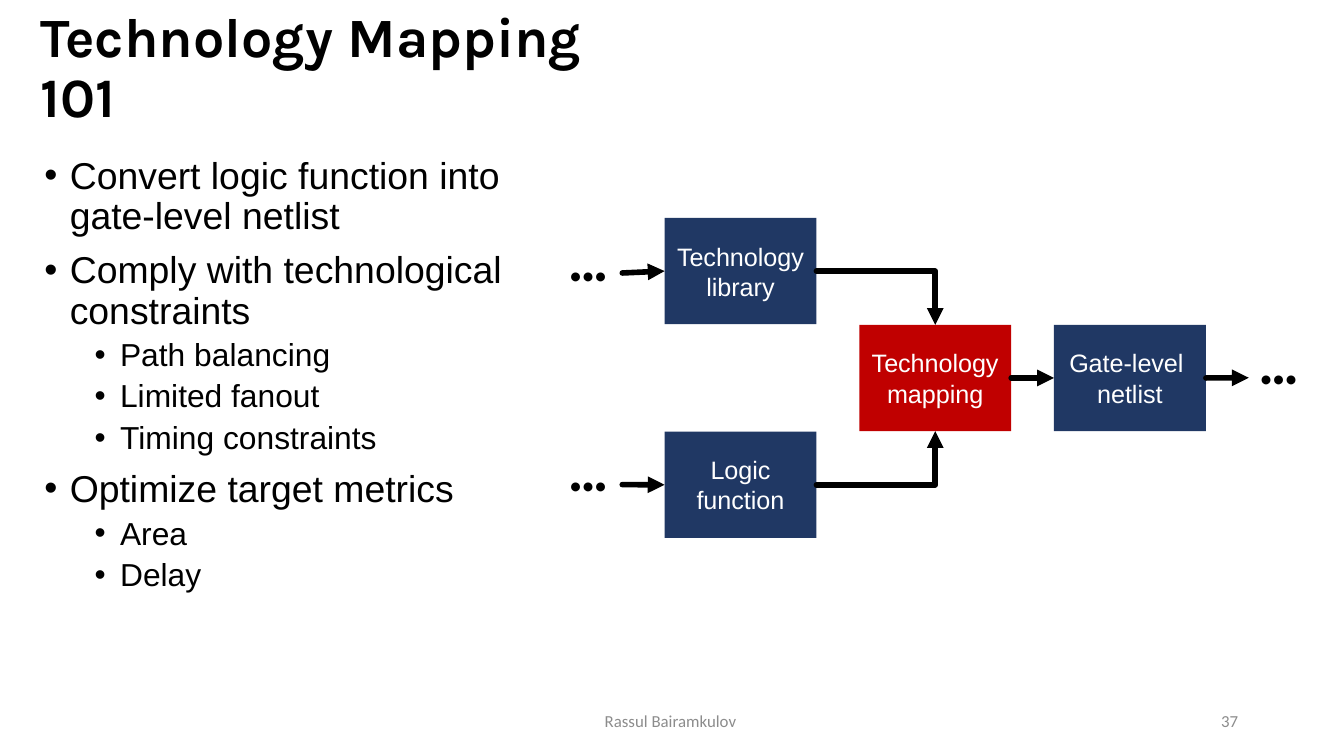
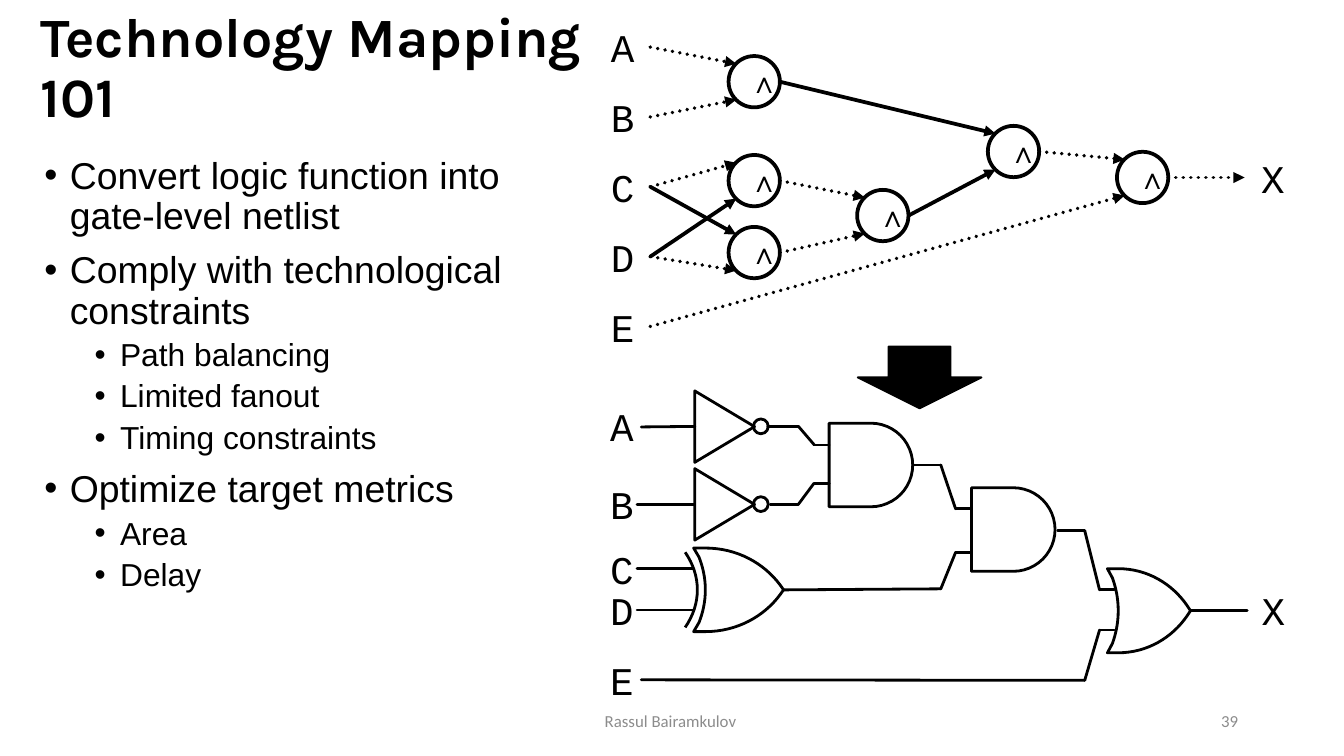
from dataclasses import dataclass

from lxml.etree import SubElement
from pptx import Presentation
from pptx.dml.color import RGBColor
from pptx.enum.dml import MSO_LINE
from pptx.enum.shapes import MSO_CONNECTOR, MSO_SHAPE
from pptx.enum.text import MSO_ANCHOR, MSO_AUTO_SIZE, PP_ALIGN
from pptx.oxml.ns import qn
from pptx.util import Cm, Pt


@dataclass(frozen=True)
class Theme:
    """Colours, fonts and type sizes of the deck."""

    black: RGBColor = RGBColor(0, 0, 0)
    white: RGBColor = RGBColor(255, 255, 255)
    navy: RGBColor = RGBColor(0x20, 0x38, 0x64)
    red: RGBColor = RGBColor(0xC0, 0, 0)
    gray: RGBColor = RGBColor(0x8C, 0x8C, 0x8C)
    head: str = "Karla"
    sans: str = "Arial"
    foot: str = "Calibri"
    mono: str = "Courier New"
    title: float = 29.7
    levels: tuple = (20, 17)
    gaps: tuple = (7.5, 3.8)
    indents: tuple = (0.48, 1.43)
    hang: float = 0.48
    box: float = 13.5
    sign: float = 21
    glyph: float = 16
    small: float = 9
    flow: float = 3
    edge: float = 2
    wire: float = 1.5


THEME = Theme()
POINTS = [
    (0, "Convert logic function into gate-level netlist"),
    (0, "Comply with technological constraints"),
    (1, "Path balancing"),
    (1, "Limited fanout"),
    (1, "Timing constraints"),
    (0, "Optimize target metrics"),
    (1, "Area"),
    (1, "Delay"),
]
NODE = 0.97


def area(*sizes):
    """Turn centimetres into lengths."""
    return [Cm(size) for size in sizes]


def add_run(para, text, size, font, color=THEME.black, bold=False):
    """Add one styled run to a paragraph."""
    run = para.add_run()
    run.text = text
    run.font.size = Pt(size)
    run.font.name = font
    run.font.color.rgb = color
    run.font.bold = bold


def write(frame, lines, size, font, color=THEME.black, align=PP_ALIGN.CENTER, bold=False):
    """Fill a frame with one paragraph per line, set in the middle."""
    frame.vertical_anchor = MSO_ANCHOR.MIDDLE
    for num, line in enumerate(lines):
        para = frame.add_paragraph() if num else frame.paragraphs[0]
        para.alignment = align
        add_run(para, line, size, font, color, bold)


def trim(frame):
    """Take away the inner margins of a frame."""
    frame.margin_left = frame.margin_right = frame.margin_top = frame.margin_bottom = 0


def add_label(slide, place, text, size, font, color=THEME.black, align=PP_ALIGN.CENTER, wrap=False):
    """Add a one-line text box."""
    frame = slide.shapes.add_textbox(*area(*place)).text_frame
    frame.word_wrap = wrap
    write(frame, [text], size, font, color, align)
    return frame


def add_list(slide):
    """Add the bullet list on the left."""
    frame = slide.shapes.add_textbox(*area(0.59, 2.84, 9.8, 10.8)).text_frame
    frame.word_wrap = True
    for num, (level, text) in enumerate(POINTS):
        para = frame.add_paragraph() if num else frame.paragraphs[0]
        para.level = level
        para.line_spacing = 0.9
        para.space_before = Pt(THEME.gaps[level] if num else 0)
        props = para._p.get_or_add_pPr()
        props.set("marL", str(Cm(THEME.indents[level])))
        props.set("indent", str(-Cm(THEME.hang)))
        SubElement(props, qn("a:buFont"), typeface=THEME.sans)
        SubElement(props, qn("a:buChar"), char="•")
        add_run(para, text, THEME.levels[level], THEME.sans)


def add_page(deck, number):
    """Add a slide with the shared title, list and footer."""
    slide = deck.slides.add_slide(deck.slide_layouts[5])
    title = slide.shapes.title
    title.left, title.top, title.width, title.height = area(0.51, 0.56, 10.74, 1.5)
    frame = title.text_frame
    frame.auto_size = MSO_AUTO_SIZE.NONE
    frame.margin_right = 0
    write(frame, ["Technology Mapping 101"], THEME.title, THEME.head, align=PP_ALIGN.LEFT, bold=True)
    frame.paragraphs[0].line_spacing = 0.9
    style = THEME.small, THEME.foot, THEME.gray
    add_label(slide, (8.41, 13.24, 8.59, 0.76), "Rassul Bairamkulov ", *style, wrap=True)
    add_label(slide, (17.93, 13.24, 5.72, 0.76), number, *style, PP_ALIGN.RIGHT, True)
    add_list(slide)
    return slide


def paint(shape, fill=None, width=None):
    """Set the fill and outline of a shape."""
    shape.shadow.inherit = False
    if fill is None:
        shape.fill.background()
    else:
        shape.fill.solid()
        shape.fill.fore_color.rgb = fill
    if width is None:
        shape.line.fill.background()
    else:
        shape.line.color.rgb = THEME.black
        shape.line.width = Pt(width)
    return shape


def add_form(slide, kind, place, fill=None, width=None):
    """Add a painted preset shape."""
    return paint(slide.shapes.add_shape(kind, *area(*place)), fill, width)


def add_line(slide, start, end, width, arrow=False, dots=False, kind=MSO_CONNECTOR.STRAIGHT):
    """Link two ends, each a point or a shape with its side."""
    (ax, ay), (bx, by) = [(0, 0) if hasattr(stop[0], "left") else stop for stop in (start, end)]
    line = slide.shapes.add_connector(kind, *area(ax, ay, bx, by))
    if hasattr(start[0], "left"):
        line.begin_connect(*start)
    if hasattr(end[0], "left"):
        line.end_connect(*end)
    line.line.color.rgb = THEME.black
    line.line.width = Pt(width)
    if dots:
        line.line.dash_style = MSO_LINE.ROUND_DOT
    props = line._element.spPr
    stroke = props.find(qn("a:ln"))
    stroke.set("cap", "rnd")
    SubElement(stroke, qn("a:round"))
    if arrow:
        SubElement(stroke, qn("a:tailEnd"), type="triangle")
    SubElement(props, qn("a:effectLst"))
    return line


def add_elbow(slide, start, end):
    """Add an arrow with a single right-angle bend."""
    line = add_line(slide, start, end, THEME.flow, True, kind=MSO_CONNECTOR.ELBOW)
    line._element.spPr.find(qn("a:prstGeom")).set("prst", "bentConnector2")


def add_box(slide, col, row, lines, fill=THEME.navy):
    """Add a step of the flow on its grid."""
    place = 12.56 + 3.68 * col, 4.12 + 2.02 * row, 2.87, 2.01
    box = add_form(slide, MSO_SHAPE.RECTANGLE, place, fill)
    trim(box.text_frame)
    write(box.text_frame, lines, THEME.box, THEME.sans, THEME.white)
    return box


def add_dots(slide, left, top):
    """Add an ellipsis for steps not shown."""
    trim(add_label(slide, (left, top, 0.71, 0.58), "•••", THEME.box, THEME.foot, align=PP_ALIGN.LEFT))


def draw_flow(slide):
    """Draw the flow from library and function to netlist."""
    lib = add_box(slide, 0, 0, ["Technology library"])
    logic = add_box(slide, 0, 2, ["Logic function"])
    core = add_box(slide, 1, 1, ["Technology mapping"], THEME.red)
    net = add_box(slide, 2, 1, ["Gate-level ", "netlist"])
    add_elbow(slide, (lib, 3), (core, 0))
    add_elbow(slide, (logic, 3), (core, 2))
    add_line(slide, (core, 3), (net, 1), THEME.flow, True)
    add_line(slide, (net, 3), (23.6, 7.14), THEME.flow, True)
    add_dots(slide, 23.81, 6.85)
    for box, mid, top in ((lib, 5.16, 4.89), (logic, 9.16, 8.86)):
        add_line(slide, (11.76, mid), (box, 1), THEME.flow, True)
        add_dots(slide, 10.76, top)


def draw_graph(slide):
    """Draw the graph of AND nodes with plain and negated edges."""
    starts = {}
    for num, name in enumerate("ABCDE"):
        top = 0.23 + 1.32 * num
        add_label(slide, (11.25, top, 1.04, 1.32), name, THEME.sign, THEME.mono)
        starts[name] = 12.29, top + 0.66
    nodes = [(13.77, 1.06), (13.77, 2.93), (13.77, 4.29), (16.2, 3.59), (18.67, 2.38), (21.11, 2.87)]
    for num, (left, top) in enumerate(nodes):
        node = add_form(slide, MSO_SHAPE.OVAL, (left, top, NODE, NODE), THEME.white, THEME.edge)
        write(node.text_frame, ["∧"], THEME.glyph, THEME.sans, bold=True)
        starts[num] = left + NODE, top + NODE / 2
    solid = {("D", 1), ("C", 2), (0, 4), (3, 4)}
    for goal, pair in enumerate(["AB", "CD", "CD", (1, 2), (0, 3), (4, "E")]):
        left, top = nodes[goal]
        for start, part in zip(pair, (0.15, 0.85)):
            end = left + 0.15 * NODE, top + part * NODE
            add_line(slide, starts[start], end, THEME.edge, True, (start, goal) not in solid)
    add_line(slide, starts[5], (23.52, starts[5][1]), THEME.edge, True, True)
    add_label(slide, (23.52, 2.67, 1.07, 1.37), "X", THEME.sign, THEME.mono)


def add_path(slide, spots, bends, close):
    """Add an unfilled outline, with a curve from each bend's three points."""
    first, *rest = [area(*spot) for spot in spots]
    pen = slide.shapes.build_freeform(*first)
    pen.add_line_segments(rest, close=close)
    shape = paint(pen.convert_to_shape(), width=THEME.wire)
    lines = list(shape._element.iter(qn("a:lnTo")))
    for bend in bends:
        head, *tail = lines[bend:bend + 3]
        head.tag = qn("a:cubicBezTo")
        for line in tail:
            head.append(line[0])
            line.getparent().remove(line)


def flip(spots):
    """Mirror points top to bottom, in reverse order."""
    return [(x, 1 - y) for x, y in reversed(spots)]


def add_or(slide, left, top, width, height):
    """Add an OR gate from a mirrored back and nose."""
    back = [(0.13, 0), (0, 0), (0.06, 0.11), (0.1, 0.22), (0.13, 0.35), (0.13, 0.5)]
    nose = [(0.48, 1), (0.78, 0.82), (0.96, 0.56), (1, 0.5)]
    spots = back + flip(back[:-1]) + nose + flip(nose[:-1]) + back[:1]
    add_path(slide, [(left + x * width, top + y * height) for x, y in spots], (2, 5, 10, 15), True)


def add_not(slide, mid):
    """Add an inverter centred on a height."""
    cone = add_form(slide, MSO_SHAPE.ISOSCELES_TRIANGLE, (13.02, mid - 0.56, 1.35, 1.13), width=THEME.wire)
    cone.rotation = 90
    add_form(slide, MSO_SHAPE.OVAL, (14.24, mid - 0.14, 0.28, 0.28), width=THEME.wire)


def add_wire(slide, *spots):
    """Add a wire through points."""
    for start, end in zip(spots, spots[1:]):
        add_line(slide, start, end, THEME.wire)


def draw_gates(slide):
    """Draw the mapped circuit."""
    for name, top in zip("ABCDE", (7.52, 8.99, 10.21, 11, 12.32)):
        add_label(slide, (11.28, top, 0.84, 1.07), name, THEME.sign, THEME.mono)
    add_label(slide, (23.52, 10.85, 1.09, 1.37), "X", THEME.sign, THEME.mono)
    for mid in (8.06, 9.53):
        add_not(slide, mid)
    for left, top in ((15.67, 8), (18.36, 9.22)):
        add_form(slide, MSO_SHAPE.FLOWCHART_DELAY, (left, top, 1.58, 1.58), width=THEME.wire)
    add_or(slide, 13.11, 10.36, 1.7, 1.58)
    add_or(slide, 20.93, 10.75, 1.57, 1.59)
    arc = [(12.95, 10.44), (13.1, 10.66), (13.18, 10.9), (13.18, 11.15), (13.18, 11.4), (13.1, 11.64), (12.95, 11.86)]
    add_path(slide, arc, (0, 3), False)
    add_wire(slide, (12.12, 8.07), (13.13, 8.06))
    for mid in (9.53, 10.74, 11.53):
        add_wire(slide, (12.04, mid), (13.11, mid))
    add_wire(slide, (14.51, 8.06), (15.09, 8.06), (15.39, 8.41), (15.67, 8.41))
    add_wire(slide, (14.56, 9.53), (15.09, 9.53), (15.38, 9.14), (15.67, 9.14))
    add_wire(slide, (17.27, 8.79), (17.78, 8.79), (18.06, 9.62), (18.36, 9.62))
    add_wire(slide, (14.81, 11.15), (17.78, 11.13), (18.06, 10.44), (18.36, 10.44))
    add_wire(slide, (19.99, 10.03), (20.5, 10.03), (20.78, 11.15), (21.06, 11.15))
    add_wire(slide, (12.12, 12.85), (20.5, 12.86), (20.78, 11.91), (21.06, 11.91))
    add_wire(slide, (22.5, 11.54), (23.57, 11.54))


def main():
    """Build both slides and save the deck."""
    deck = Presentation()
    deck.slide_width, deck.slide_height = area(25.4, 14.29)
    draw_flow(add_page(deck, "37"))
    slide = add_page(deck, "39")
    draw_graph(slide)
    draw_gates(slide)
    add_form(slide, MSO_SHAPE.DOWN_ARROW, (16.21, 6.55, 2.34, 1.17), THEME.black, 1)
    deck.save("out.pptx")


if __name__ == "__main__":
    main()
